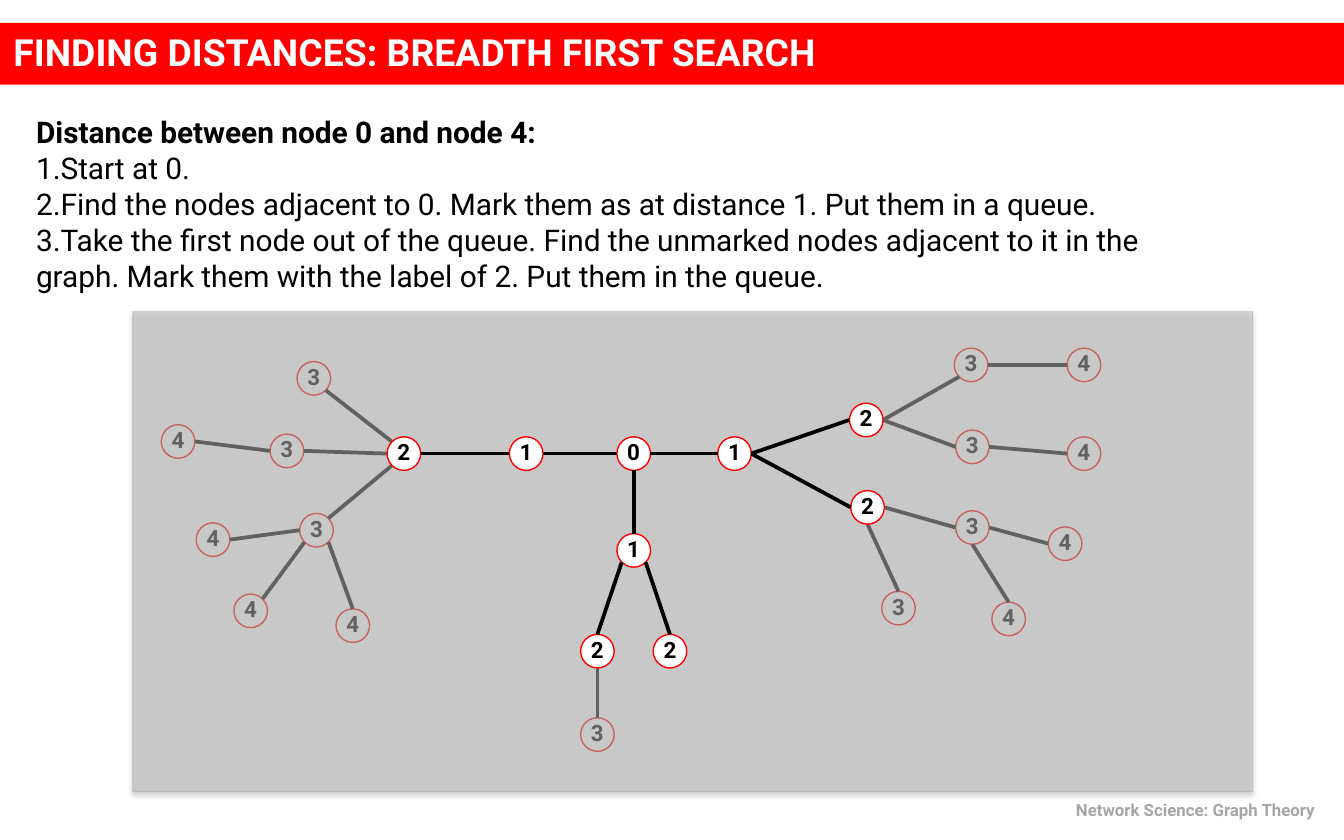
from dataclasses import dataclass

from lxml import etree
from pptx import Presentation
from pptx import util as u
from pptx.dml.color import RGBColor
from pptx.enum import shapes, text
from pptx.oxml import ns


@dataclass(frozen=True)
class Theme:
    font: str = "Roboto"
    black: str = "000000"
    white: str = "FFFFFF"
    red: str = "FF0000"
    veil: str = "BFBFBF"
    grey: str = "A6A6A6"
    title: int = 20
    body: int = 16
    node: int = 12
    footer: int = 9
    rim: float = 0.75
    edge: float = 2


@dataclass(frozen=True)
class Node:
    """One tree node; its edge runs from the parent's `leave` to its own `enter`."""
    left: float
    top: float
    parent: str = ""
    leave: str = ""
    enter: str = ""


DIAMETER = 0.25
MARKED = 2  # nodes up to this distance have been reached

# Points on a node's rim, in radii from its centre
DIAGONAL = 0.71
RIM = {
    "N": (0, -1), "S": (0, 1), "W": (-1, 0), "E": (1, 0),
    "NW": (-DIAGONAL, -DIAGONAL), "NE": (DIAGONAL, -DIAGONAL),
    "SW": (-DIAGONAL, DIAGONAL), "SE": (DIAGONAL, DIAGONAL),
}

# Letters spell the way from the root; every parent stands before its children
TREE = {
    "root": Node(4.59, 3.25),
    "a": Node(3.79, 3.25, "root", "W", "E"),
    "b": Node(5.34, 3.25, "root", "E", "W"),
    "c": Node(4.59, 3.97, "root", "S", "N"),
    "aa": Node(2.88, 3.25, "a", "W", "E"),
    "ba": Node(6.32, 3, "b", "E", "W"),
    "bb": Node(6.33, 3.65, "b", "E", "W"),
    "ca": Node(4.32, 4.72, "c", "SW", "N"),
    "cb": Node(4.86, 4.72, "c", "SE", "N"),
    "aaa": Node(2.21, 2.69, "aa", "NW", "SE"),
    "aab": Node(2.01, 3.23, "aa", "W", "E"),
    "aac": Node(2.23, 3.82, "aa", "SW", "NE"),
    "baa": Node(7.1, 2.59, "ba", "E", "SW"),
    "bab": Node(7.11, 3.2, "ba", "E", "W"),
    "bba": Node(7.11, 3.8, "bb", "E", "W"),
    "bbb": Node(6.56, 4.4, "bb", "S", "N"),
    "caa": Node(4.32, 5.34, "ca", "S", "N"),
    "aaba": Node(1.2, 3.16, "aab", "W", "E"),
    "aaca": Node(1.46, 3.89, "aac", "W", "E"),
    "aacb": Node(1.74, 4.42, "aac", "SW", "NE"),
    "aacc": Node(2.5, 4.53, "aac", "SE", "N"),
    "baaa": Node(7.94, 2.59, "baa", "E", "W"),
    "baba": Node(7.94, 3.25, "bab", "E", "W"),
    "bbaa": Node(7.8, 3.92, "bba", "E", "W"),
    "bbab": Node(7.38, 4.48, "bba", "S", "N"),
}

HEADING = "Distance between node 0 and node 4:"
STEPS = [
    "Start at 0.",
    "Find the nodes adjacent to 0. Mark them as at distance 1. Put them in a queue.",
    "Take the first node out of the queue. Find the unmarked nodes adjacent to it "
    "in the graph. Mark them with the label of 2. Put them in the queue.",
]


def distance(name):
    """Number of edges from the root to the node."""
    parent = TREE[name].parent
    return distance(parent) + 1 if parent else 0


def rim_point(node, side):
    radius = DIAMETER / 2
    dx, dy = RIM[side]
    return node.left + radius * (1 + dx), node.top + radius * (1 + dy)


def sub(parent, tag, **attrs):
    """Append an XML element with the given attributes."""
    return etree.SubElement(parent, ns.qn(tag), {k: str(v) for k, v in attrs.items()})


class SlideBuilder:
    def __init__(self, s, theme):
        self.s, self.t = s, theme

    def run(self, p, words, size, color, bold=True):
        r = p.add_run()
        r.text = words
        f = r.font
        f.name, f.size, f.bold = self.t.font, u.Pt(size), bold
        f.color.rgb = RGBColor.from_string(color)

    def title(self, words, *box):
        sp = self.s.shapes.title
        sp.left, sp.top, sp.width, sp.height = map(u.Inches, box)
        sp.fill.solid()
        sp.fill.fore_color.rgb = RGBColor.from_string(self.t.red)
        tf = sp.text_frame
        tf.auto_size = text.MSO_AUTO_SIZE.NONE
        tf.vertical_anchor = text.MSO_ANCHOR.MIDDLE
        tf.margin_bottom = u.Inches(0.08)
        p = tf.paragraphs[0]
        p.alignment = text.PP_ALIGN.LEFT
        self.run(p, words, self.t.title, self.t.white)

    def text_box(self, *box):
        tf = self.s.shapes.add_textbox(*map(u.Inches, box)).text_frame
        tf.word_wrap = True
        tf.auto_size = text.MSO_AUTO_SIZE.SHAPE_TO_FIT_TEXT
        return tf

    def steps(self, heading, items, *box):
        tf = self.text_box(*box)
        p = tf.paragraphs[0]
        p.line_spacing = 1.6
        self.run(p, heading, self.t.body, self.t.black)
        for item in items:
            p = tf.add_paragraph()
            sub(p._p.get_or_add_pPr(), "a:buAutoNum", type="arabicPeriod")
            self.run(p, item, self.t.body, self.t.black, bold=False)

    def footer(self, words, *box):
        p = self.text_box(*box).paragraphs[0]
        p.alignment = text.PP_ALIGN.RIGHT
        self.run(p, words, self.t.footer, self.t.grey)

    def shape(self, kind, box, fill, line):
        sp = self.s.shapes.add_shape(kind, *map(u.Inches, box))
        sp.shadow.inherit = False
        sp.fill.solid()
        sp.fill.fore_color.rgb = RGBColor.from_string(fill)
        sp.line.color.rgb = RGBColor.from_string(line)
        sp.line.width = u.Pt(self.t.rim)
        return sp

    def node(self, node, label):
        self.shape(shapes.MSO_SHAPE.OVAL, (node.left, node.top, DIAMETER, DIAMETER),
                   self.t.white, self.t.red)
        tf = self.text_box(node.left - 0.01, node.top + 0.01, 0.27, 0.2)
        tf.margin_left = tf.margin_right = u.Inches(0.03)
        tf.margin_top = tf.margin_bottom = 0
        p = tf.paragraphs[0]
        p.alignment = text.PP_ALIGN.CENTER
        self.run(p, label, self.t.node, self.t.black)

    def edge(self, child):
        ends = (*rim_point(TREE[child.parent], child.leave),
                *rim_point(child, child.enter))
        c = self.s.shapes.add_connector(shapes.MSO_CONNECTOR.STRAIGHT, *map(u.Inches, ends))
        c.line.color.rgb = RGBColor.from_string(self.t.black)
        c.line.width = u.Pt(self.t.edge)
        sub(c._element.spPr, "a:effectLst")

    def tree(self, names):
        """Draw the named nodes, each with the edge from its parent."""
        for name in names:
            node = TREE[name]
            self.node(node, str(distance(name)))
            if node.parent:
                self.edge(node)

    def veil(self, *box):
        """Half-transparent panel that fades the nodes not yet reached."""
        sp = self.shape(shapes.MSO_SHAPE.RECTANGLE, box, self.t.veil, self.t.grey)
        pr = sp._element.spPr
        fill, line = pr.iter(ns.qn("a:srgbClr"))
        sub(fill, "a:alpha", val=51000)
        sub(line, "a:alpha", val=48000)
        shadow = sub(pr.find(ns.qn("a:effectLst")), "a:outerShdw", blurRad=u.Pt(3.1),
                     dist=u.Pt(1.8), dir=90 * 60000, rotWithShape=0)
        sub(sub(shadow, "a:srgbClr", val=self.t.black), "a:alpha", val=35000)


def main():
    prs = Presentation()
    prs.slide_width, prs.slide_height = u.Inches(10), u.Inches(6.25)
    b = SlideBuilder(prs.slides.add_slide(prs.slide_layouts[5]), Theme())

    b.title("FINDING DISTANCES: BREADTH FIRST SEARCH", 0, 0.17, 10, 0.46)
    b.steps(HEADING, STEPS, 0.17, 0.64, 8.83, 1.61)

    b.tree(name for name in TREE if distance(name) > MARKED)
    b.veil(0.99, 2.32, 8.33, 3.57)
    b.tree(name for name in TREE if distance(name) <= MARKED)

    b.footer("Network Science: Graph Theory ", 7.08, 5.9, 2.83, 0.25)
    prs.save("out.pptx")


if __name__ == "__main__":
    main()
